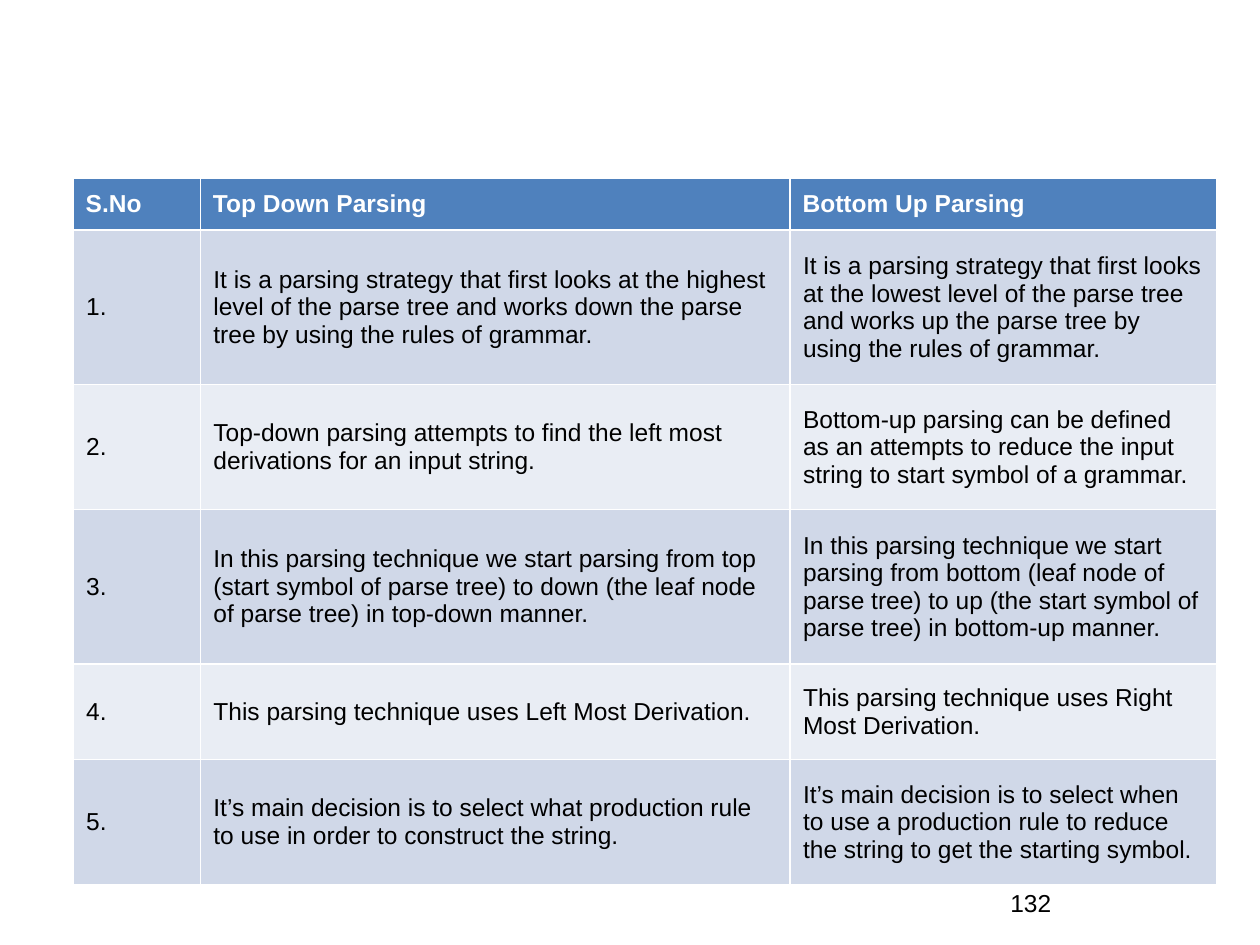
from lxml import etree
from pptx import Presentation
from pptx.dml.color import RGBColor
from pptx.enum.text import MSO_ANCHOR
from pptx.oxml.ns import qn
from pptx.util import Inches, Pt

MIDDLE = MSO_ANCHOR.MIDDLE
SLIDE_W, SLIDE_H = Inches(10), Inches(7.5)
FONT = "Arial"
COLORS = {
    "header": "4F81BD",
    "odd_row": "D0D8E8",
    "even_row": "E9EDF4",
    "rule": "FFFFFF",
    "header_text": "FFFFFF",
    "text": "000000",
}

COLUMN_WIDTHS = (1.01, 4.68, 3.39)
ROW_HEIGHT = 0.41
HEADER_PADDING = (Pt(7.2), Pt(3.6))
BODY_PADDING = (Pt(7.5), Pt(10.5))
HEADINGS = ("S.No", "Top Down Parsing", "Bottom Up Parsing")
COMPARISONS = (
    ("It is a parsing strategy that first looks at the highest level of the "
     "parse tree and works down the parse tree by using the rules of grammar.",
     "It is a parsing strategy that first looks at the lowest level of the "
     "parse tree and works up the parse tree by using the rules of grammar."),
    ("Top-down parsing attempts to find the left most derivations for an "
     "input string.",
     "Bottom-up parsing can be defined as an attempts to reduce the input "
     "string to start symbol of a grammar."),
    ("In this parsing technique we start parsing from top (start symbol of "
     "parse tree) to down (the leaf node of parse tree) in top-down manner.",
     "In this parsing technique we start parsing from bottom (leaf node of "
     "parse tree) to up (the start symbol of parse tree) in bottom-up manner."),
    ("This parsing technique uses Left Most Derivation.",
     "This parsing technique uses Right Most Derivation."),
    ("It’s main decision is to select what production rule to use in order "
     "to construct the string.",
     "It’s main decision is to select when to use a production rule to "
     "reduce the string to get the starting symbol."),
)


def rgb(name):
    return RGBColor.from_string(COLORS[name])


def write(text_frame, text, size=14, color="text", bold=False):
    text_frame.word_wrap = True
    run = text_frame.paragraphs[0].add_run()
    run.text = text
    run.font.name = FONT
    run.font.size = Pt(size)
    run.font.bold = bold
    run.font.color.rgb = rgb(color)


def rule_cell(cell, width=1):
    """Draw a border on all four sides; call before filling the cell."""
    properties = cell._tc.get_or_add_tcPr()
    for side in ("a:lnL", "a:lnR", "a:lnT", "a:lnB"):
        line = etree.SubElement(properties, qn(side), w=str(Pt(width)))
        fill = etree.SubElement(line, qn("a:solidFill"))
        etree.SubElement(fill, qn("a:srgbClr"), val=COLORS["rule"])


def style_cell(cell, fill, padding):
    rule_cell(cell)
    cell.fill.solid()
    cell.fill.fore_color.rgb = rgb(fill)
    cell.vertical_anchor = MIDDLE
    side, end = padding
    cell.margin_left = cell.margin_right = side
    cell.margin_top = cell.margin_bottom = end


def add_comparison_table(slide, left, top, width, row_height):
    """Place the table; its rows grow with their text."""
    numbered = [(f"{number}.", *pair)
                for number, pair in enumerate(COMPARISONS, start=1)]
    rows = [HEADINGS, *numbered]
    table = slide.shapes.add_table(len(rows), len(HEADINGS), left, top,
                                   width, row_height * len(rows)).table
    for column, share in zip(table.columns, COLUMN_WIDTHS):
        column.width = int(width * share / sum(COLUMN_WIDTHS))

    for row_index, texts in enumerate(rows):
        is_header = row_index == 0
        band = "odd_row" if row_index % 2 else "even_row"
        for column_index, text in enumerate(texts):
            cell = table.cell(row_index, column_index)
            style_cell(cell, "header" if is_header else band,
                       HEADER_PADDING if is_header else BODY_PADDING)
            write(cell.text_frame, text, bold=is_header,
                  color="header_text" if is_header else "text")


def add_page_number(slide, left, top, width, height):
    box = slide.shapes.add_textbox(left, top, width, height)
    write(box.text_frame, "132")


def main():
    deck = Presentation()
    deck.slide_width, deck.slide_height = SLIDE_W, SLIDE_H
    slide = deck.slides.add_slide(deck.slide_layouts[6])
    add_page_number(slide, int(SLIDE_W * 0.792), Inches(7),
                    int(SLIDE_W * 0.208), Inches(0.5))
    add_comparison_table(slide, int(SLIDE_W * 0.058), int(SLIDE_H * 0.189),
                         Inches(sum(COLUMN_WIDTHS)), Inches(ROW_HEIGHT))
    deck.save("out.pptx")


if __name__ == "__main__":
    main()
